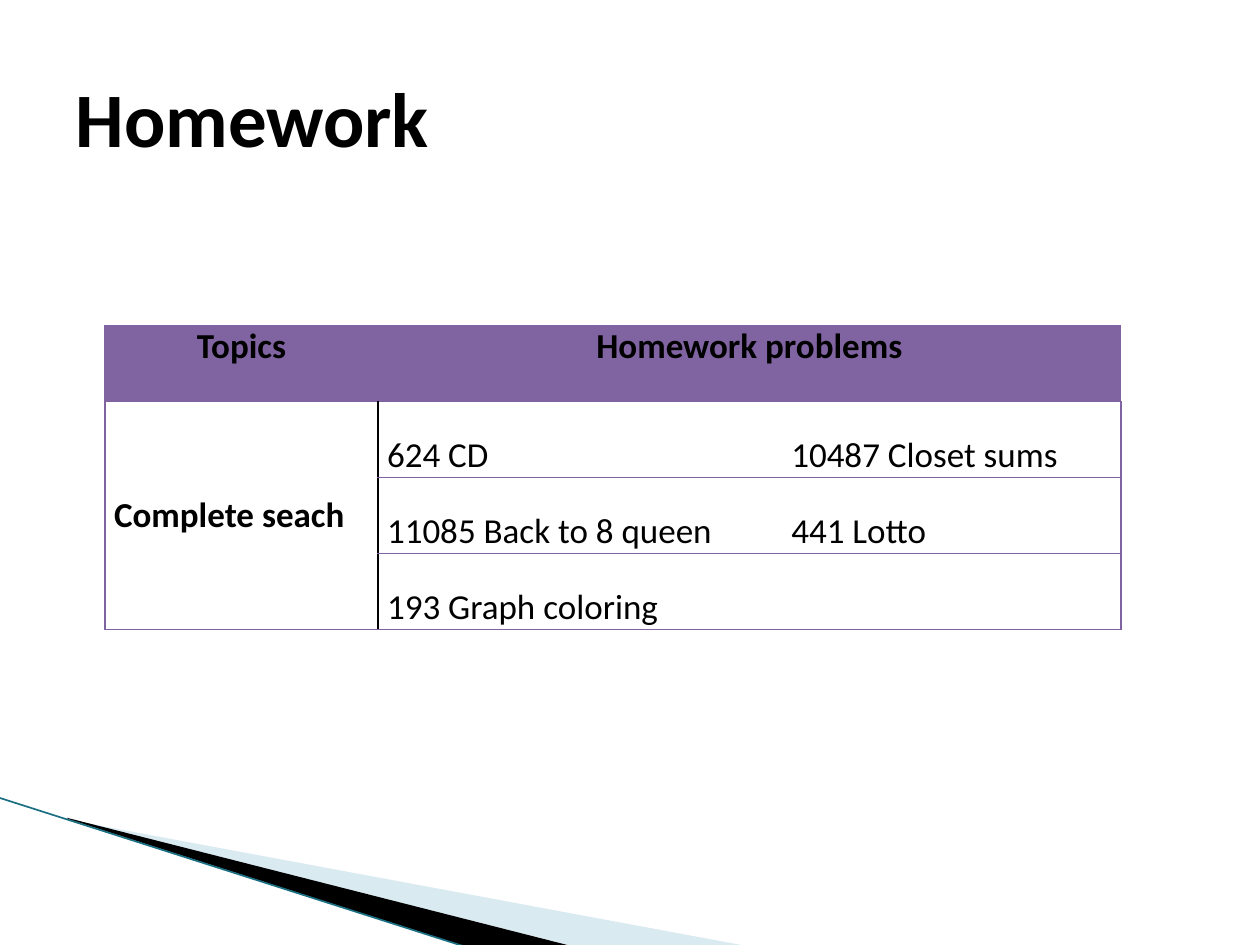
from lxml.etree import SubElement
from pptx import Presentation
from pptx.dml.color import RGBColor
from pptx.enum.shapes import MSO_CONNECTOR
from pptx.enum.text import MSO_ANCHOR, PP_ALIGN
from pptx.oxml.ns import qn
from pptx.util import Pt

BLACK = RGBColor(0x00, 0x00, 0x00)
PURPLE = RGBColor(0x80, 0x64, 0xA2)
PALE_BLUE = RGBColor(0xA0, 0xCB, 0xDC)
TEAL = RGBColor(0x1B, 0x6F, 0x82)

TITLE = "Homework"
ROWS = [
    ["Topics", "Homework problems", ""],
    ["Complete seach", "624 CD", "10487 Closet sums"],
    ["", "11085 Back to 8 queen", "441 Lotto"],
    ["", "193 Graph coloring", ""],
]
COLUMN_WIDTHS = [156, 231, 193.5]
ROW_HEIGHT = 43.4
TABLE_LEFT, TABLE_TOP = 60, 186

# Corner wedges: frame (left, top, width, height), points, colour, opacity in percent
WEDGES = [
    ((56.2, 393.8, 299.5, 113.8),
     [(39.6, 468.6), (428.4, 540.9), (328.3, 540.9), (39.6, 468.2)], PALE_BLUE, 40),
    ((-4.3, 455.8, 299.5, 66.2),
     [(38.2, 467.3), (328.2, 541), (267.8, 541.4), (38.9, 468)], BLACK, 100),
]
EDGE = [(-0.7, 455.8), (267.1, 541.4)]


def write(frame, text, size=20, bold=False, align=PP_ALIGN.LEFT):
    para = frame.paragraphs[0]
    para.alignment = align
    span = para.add_run()
    span.text = text
    span.font.name = "Calibri"
    span.font.size = Pt(size)
    span.font.bold = bold
    span.font.color.rgb = BLACK


def set_frame(shape, frame):
    """Give a freeform another frame while its outline stays in place."""
    left, top, width, height = [Pt(length) for length in frame]
    shift_x, shift_y = shape.left - left, shape.top - top
    for outline in shape._element.iter(qn("a:path")):
        outline.set("w", str(width))
        outline.set("h", str(height))
        for point in outline.iter(qn("a:pt")):
            point.set("x", str(int(point.get("x")) + shift_x))
            point.set("y", str(int(point.get("y")) + shift_y))
    shape.left, shape.top, shape.width, shape.height = left, top, width, height


def add_wedge(slide, frame, points, color, opacity):
    start, *others = [(Pt(x), Pt(y)) for x, y in points]
    builder = slide.shapes.build_freeform(*start)
    builder.add_line_segments(others, close=True)
    wedge = builder.convert_to_shape()
    set_frame(wedge, frame)
    wedge.shadow.inherit = False
    wedge.fill.solid()
    wedge.fill.fore_color.rgb = color
    wedge.line.fill.background()
    if opacity < 100:
        fill_color = wedge.fill._xPr.find(qn("a:solidFill"))[0]
        SubElement(fill_color, qn("a:alpha"), val=str(opacity * 1000))


def add_edge(slide):
    (x1, y1), (x2, y2) = EDGE
    edge = slide.shapes.add_connector(
        MSO_CONNECTOR.STRAIGHT, Pt(x1), Pt(y1), Pt(x2), Pt(y2))
    edge.line.color.rgb = TEAL
    edge.line.width = Pt(0.95)
    SubElement(edge._element.spPr, qn("a:effectLst"))


def set_borders(cell, **colors):
    """Draw the left, right, top and bottom borders; None hides one."""
    properties = cell._tc.get_or_add_tcPr()
    for side in ("L", "R", "T", "B"):
        color = colors[side]
        line = SubElement(properties, qn(f"a:ln{side}"), w=str(Pt(1)))
        if color is None:
            SubElement(line, qn("a:noFill"))
        else:
            fill = SubElement(line, qn("a:solidFill"))
            SubElement(fill, qn("a:srgbClr"), val=str(color))


def format_cell(cell, row, column):
    header = row == 0
    divider = None if header else BLACK
    set_borders(
        cell,
        L=(PURPLE, divider, None)[column],
        R=(divider, None, PURPLE)[column],
        T=PURPLE,
        B=PURPLE,
    )
    if header:
        cell.fill.solid()
        cell.fill.fore_color.rgb = PURPLE
        cell.vertical_anchor = MSO_ANCHOR.TOP
    else:
        cell.fill.background()
        cell.vertical_anchor = MSO_ANCHOR.MIDDLE if column == 0 else MSO_ANCHOR.BOTTOM
    cell.margin_left = cell.margin_right = Pt(5.2)
    cell.margin_top = cell.margin_bottom = Pt(0)


def add_homework_table(slide):
    table = slide.shapes.add_table(
        len(ROWS), len(COLUMN_WIDTHS), Pt(TABLE_LEFT), Pt(TABLE_TOP),
        Pt(sum(COLUMN_WIDTHS)), Pt(ROW_HEIGHT * len(ROWS))).table
    table.first_row = table.horz_banding = False
    for column, width in zip(table.columns, COLUMN_WIDTHS):
        column.width = Pt(width)
    for row in table.rows:
        row.height = Pt(ROW_HEIGHT)
    table.cell(0, 1).merge(table.cell(0, 2))
    table.cell(1, 0).merge(table.cell(3, 0))
    for row, texts in enumerate(ROWS):
        for column, text in enumerate(texts):
            cell = table.cell(row, column)
            format_cell(cell, row, column)
            if text:
                write(cell.text_frame, text, bold=row == 0 or column == 0,
                      align=PP_ALIGN.CENTER if row == 0 else PP_ALIGN.LEFT)


def main():
    deck = Presentation()
    deck.slide_width, deck.slide_height = Pt(720), Pt(540)
    slide = deck.slides.add_slide(deck.slide_layouts[5])
    for frame, points, color, opacity in WEDGES:
        add_wedge(slide, frame, points, color, opacity)
    add_edge(slide)
    add_homework_table(slide)

    title = slide.shapes.title
    title.left, title.top, title.width, title.height = Pt(36), Pt(21.6), Pt(648), Pt(90)
    title.text_frame.vertical_anchor = MSO_ANCHOR.MIDDLE
    write(title.text_frame, TITLE, size=44, bold=True)
    deck.save("out.pptx")


if __name__ == "__main__":
    main()
